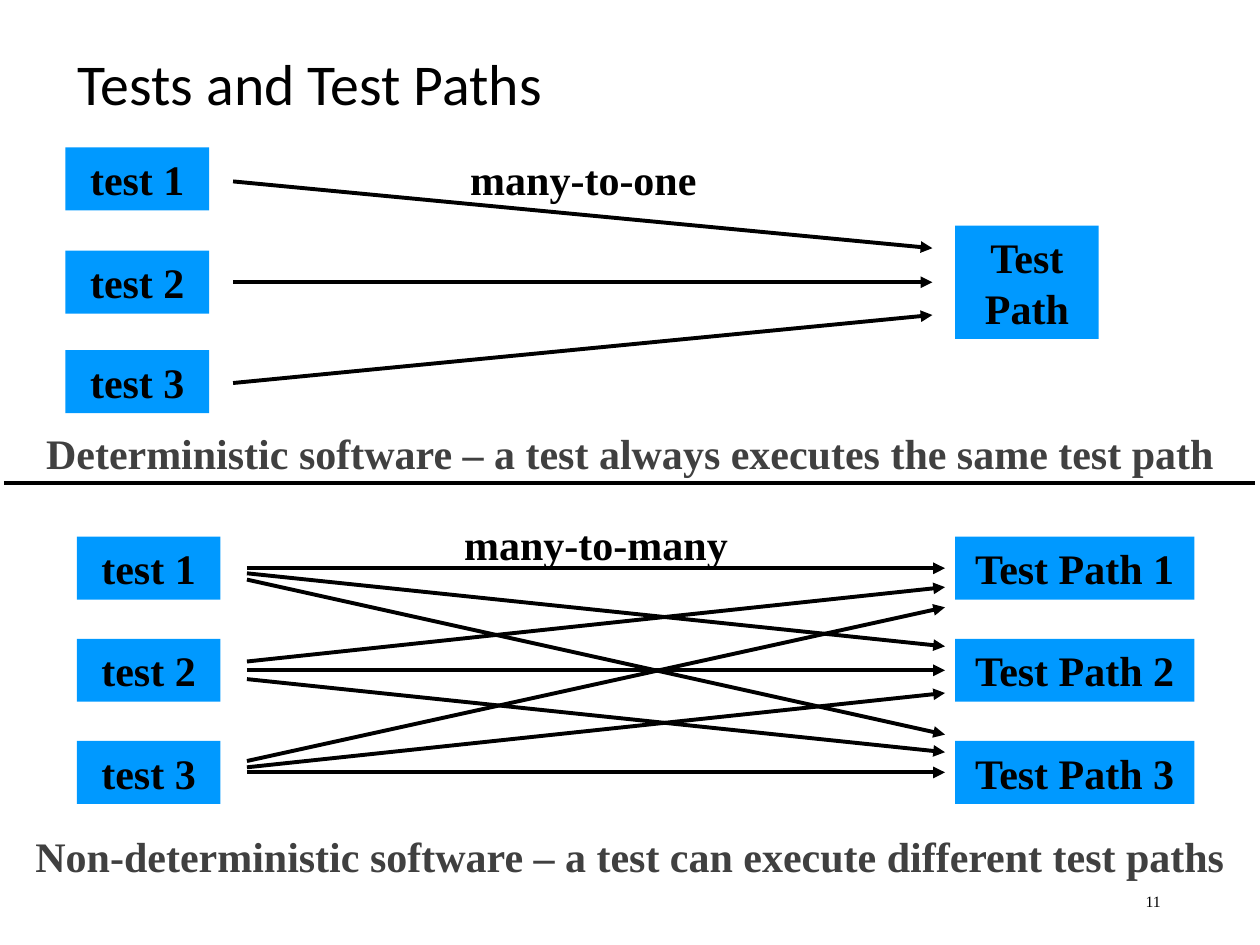
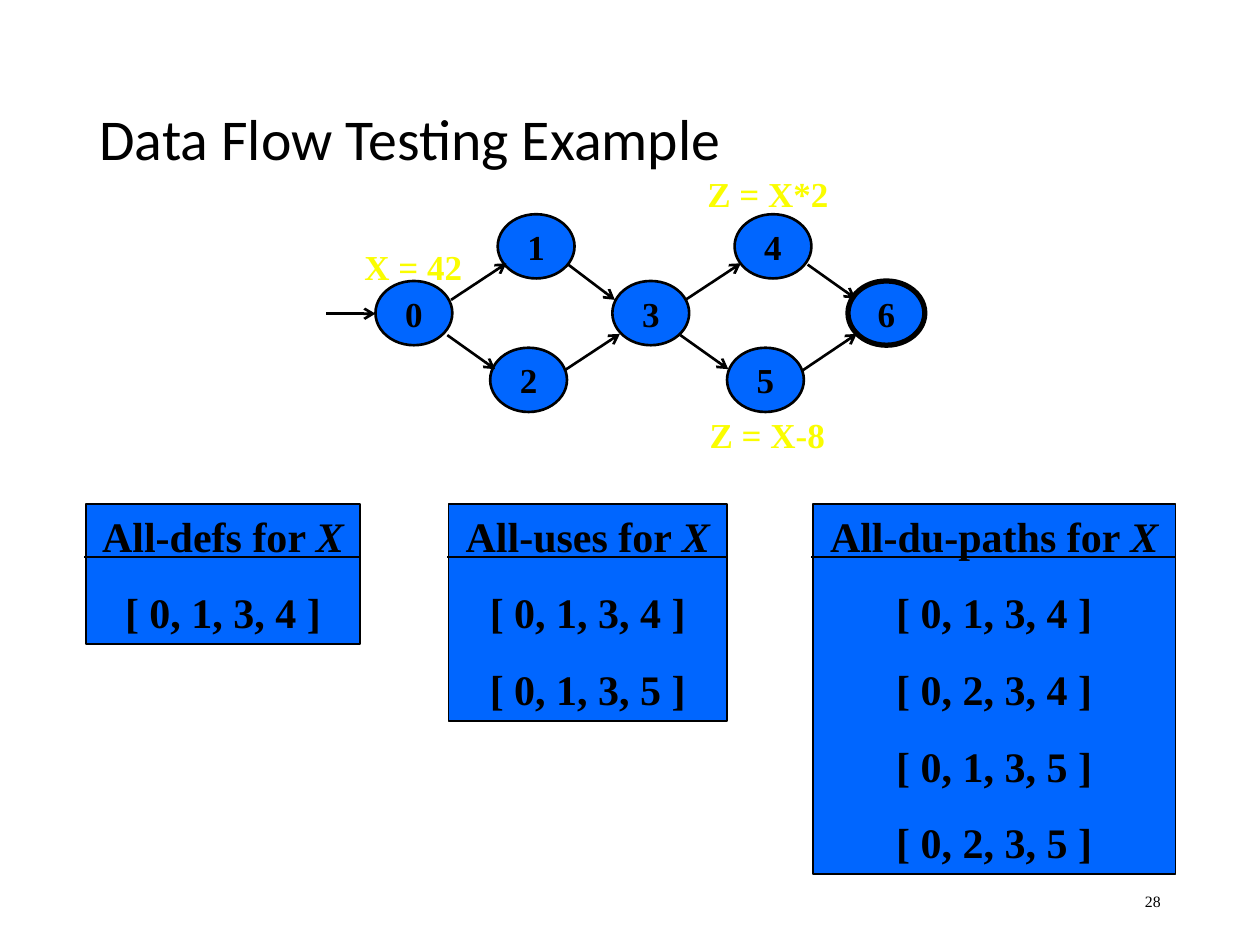
from lxml import etree
from pptx import Presentation
from pptx import util as u
from pptx.dml.color import RGBColor
from pptx.enum import shapes, text
from pptx.oxml import ns

BLACK = RGBColor(0x00, 0x00, 0x00)
GRAY = RGBColor(0x40, 0x40, 0x40)
SKY = RGBColor(0x00, 0x99, 0xFF)
BLUE = RGBColor(0x00, 0x66, 0xFF)
YELLOW = RGBColor(0xFA, 0xFD, 0x00)
SERIF, SANS = "Times New Roman", "Calibri"
LEFT, MID, RIGHT = text.PP_ALIGN.LEFT, text.PP_ALIGN.CENTER, text.PP_ALIGN.RIGHT


class Deck:
    """Holds the shared style and draws elements on the current slide."""

    def __init__(self):
        self.prs = Presentation()
        self.prs.slide_width = u.Inches(10)
        self.prs.slide_height = u.Inches(7.5)

    def page(self, title, left, top, number):
        self.slide = self.prs.slides.add_slide(self.prs.slide_layouts[6])
        head = self.label(title, (left, top, 8.62, 1.45), 33, BLACK, SANS, False, LEFT)
        head.text_frame.paragraphs[0].line_spacing = 0.9
        foot = self.label(number, (7.06, 6.95, 2.25, 0.4), 9, bold=False, align=RIGHT)
        for item in (head, foot):
            item.text_frame.vertical_anchor = text.MSO_ANCHOR.MIDDLE

    def style(self, frame, size, color=BLACK, font=SERIF, bold=True, align=MID):
        for para in frame.paragraphs:
            para.alignment = align
            for run in para.runs:
                run.font.size = u.Pt(size)
                run.font.name = font
                run.font.bold = bold
                run.font.color.rgb = color

    def label(self, words, area, size=24, color=BLACK, font=SERIF, bold=True, align=MID):
        item = self.slide.shapes.add_textbox(*map(u.Inches, area))
        item.text_frame.word_wrap = True
        item.text_frame.text = words
        self.style(item.text_frame, size, color, font, bold, align)
        return item

    def shape(self, kind, area, fill, edge=0):
        item = self.slide.shapes.add_shape(kind, *map(u.Inches, area))
        item.shadow.inherit = False
        item.fill.solid()
        item.fill.fore_color.rgb = fill
        if edge:
            item.line.color.rgb = BLACK
            item.line.width = u.Pt(edge)
        else:
            item.line.fill.background()
        return item

    def box(self, words, area, fill=SKY, edge=0):
        item = self.shape(shapes.MSO_SHAPE.RECTANGLE, area, fill, edge)
        frame = item.text_frame
        frame.word_wrap = True
        frame.vertical_anchor = text.MSO_ANCHOR.TOP
        frame.text = words
        self.style(frame, 24)
        return frame

    def node(self, name, left, top, edge=1.5):
        item = self.shape(shapes.MSO_SHAPE.OVAL, (left, top, 0.61, 0.51), BLUE, edge)
        frame = item.text_frame
        frame.word_wrap = False
        frame.vertical_anchor = text.MSO_ANCHOR.MIDDLE
        frame.text = name
        self.style(frame, 20)

    def line(self, ends, width, head=None):
        item = self.slide.shapes.add_connector(
            shapes.MSO_CONNECTOR.STRAIGHT, *map(u.Inches, ends))
        item.line.color.rgb = BLACK
        item.line.width = u.Pt(width)
        props = item._element.spPr
        if head:
            etree.SubElement(props.find(ns.qn("a:ln")), ns.qn("a:tailEnd"), type=head)
        etree.SubElement(props, ns.qn("a:effectLst"))

    def card(self, name, paths, left, width, height):
        frame = self.box("\n".join([f"{name} for ", *paths]),
                         (left, 4, width, height), BLUE, 1)
        frame.paragraphs[0].add_run().text = "X"
        self.style(frame, 24)
        frame.paragraphs[0].runs[1].font.italic = True
        for para in frame.paragraphs[1:]:
            para.space_before = u.Pt(15)
        self.line((left - 0.01, 4.42, left + width, 4.42), 1.5)


def tests(deck):
    deck.page("Tests and Test Paths", 0.52, -0.04, "11")
    for row, top in enumerate((1.17, 1.99, 2.78), 1):
        deck.box(f"test {row}", (0.52, top, 1.14, 0.5))
    deck.box("Test Path", (7.58, 1.79, 1.14, 0.9))
    deck.label("many-to-one", (3.53, 1.17, 2.2, 0.5))
    for start, end in ((1.44, 1.97), (2.24, 2.24), (3.04, 2.5)):
        deck.line((1.85, start, 7.4, end), 2.25, "triangle")
    deck.label("Deterministic software – a test always executes the same test path",
               (0.14, 3.34, 9.72, 0.5), color=GRAY)
    deck.line((0.03, 3.83, 9.96, 3.83), 2.25)

    deck.label("many-to-many", (3.5, 4.07, 2.46, 0.5))
    for row in range(3):
        top = 4.26 + 0.81 * row
        deck.box(f"test {row + 1}", (0.61, top, 1.14, 0.5))
        deck.box(f"Test Path {row + 1}", (7.58, top, 1.9, 0.5))
    fans = ((4.51, 4.51), (4.55, 5.13), (4.6, 5.83),
            (5.25, 4.66), (5.32, 5.32), (5.39, 5.97),
            (6.04, 4.82), (6.09, 5.5), (6.13, 6.13))
    for start, end in fans:
        deck.line((1.96, start, 7.5, end), 2.25, "triangle")
    deck.label("Non-deterministic software – a test can execute different test paths",
               (0.14, 6.54, 9.72, 0.5), color=GRAY)


def flow(deck):
    deck.page("Data Flow Testing Example", 0.69, 0.4, "28")
    for half in range(2):
        shift = 1.88 * half
        for step, left, top in ((0, 2.98, 2.23), (1, 3.95, 1.7), (2, 3.89, 2.76)):
            deck.node(str(3 * half + step), left + shift, top)
    deck.node("6", 6.73, 2.23, 3)
    edges = ((2.59, 2.49, 2.98, 2.49),
             (3.58, 2.38, 4.02, 2.09), (3.55, 2.66, 3.93, 2.93),
             (4.51, 2.1, 4.88, 2.38), (4.48, 2.94, 4.92, 2.65),
             (5.44, 2.38, 5.88, 2.09), (5.4, 2.66, 5.78, 2.93),
             (6.41, 2.1, 6.79, 2.37), (6.37, 2.94, 6.8, 2.65))
    for ends in edges:
        deck.line(ends, 1.5, "arrow")
    for words, left, top, width in (("X = 42", 2.72, 1.9, 1.12),
                                    ("Z = X-8", 5.53, 3.23, 1.12),
                                    ("Z = X*2", 5.44, 1.32, 1.31)):
        deck.label(words, (left, top, width, 0.44), 20, YELLOW)

    a, b, c, d = (f"[ 0, {way}, 3, {end} ]" for end in (4, 5) for way in (1, 2))
    deck.card("All-defs", [a], 0.68, 2.18, 1.11)
    deck.card("All-uses", [a, c], 3.56, 2.21, 1.72)
    deck.card("All-du-paths", [a, b, c, d], 6.45, 2.88, 2.94)


def main():
    deck = Deck()
    tests(deck)
    flow(deck)
    deck.prs.save("out.pptx")


if __name__ == "__main__":
    main()
